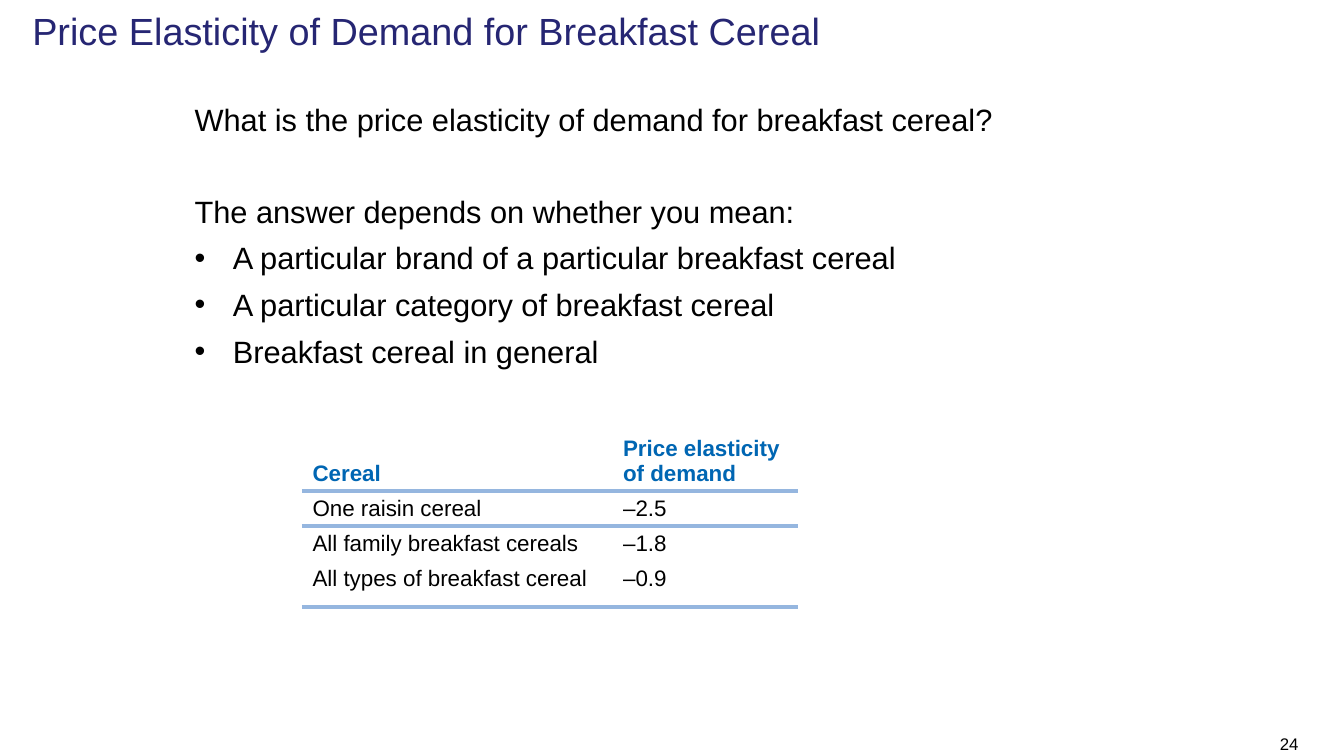
import lxml.etree
import pptx
import pptx.dml.color
import pptx.enum.shapes
import pptx.enum.text
import pptx.oxml.ns
import pptx.util

Inches = pptx.util.Inches
Pt = pptx.util.Pt
qn = pptx.oxml.ns.qn
ALIGN = pptx.enum.text.PP_ALIGN
ANCHOR = pptx.enum.text.MSO_ANCHOR

BLACK, WHITE = "000000", "FFFFFF"
NAVY, BLUE, RULE = "262673", "0066B3", "95B6DF"
LINES = [
    ("What is the price elasticity of demand for breakfast cereal?", 0, False),
    ("The answer depends on whether you mean:", 39, False),
    ("A particular brand of a particular breakfast cereal", 7, True),
    ("A particular category of breakfast cereal", 7, True),
    ("Breakfast cereal in general", 7, True),
]
ROWS = [
    ("Cereal", "Price elasticity of demand"),
    ("One raisin cereal", "–2.5"),
    ("All family breakfast cereals", "–1.8"),
    ("All types of breakfast cereal", "–0.9"),
]
WIDTHS = [3.08, 1.83]
HEIGHTS = [0.79, 0.35, 0.35, 0.45]
EDGES = {0: "a:lnB", 1: "a:lnT", 3: "a:lnB"}


def color(code):
    return pptx.dml.color.RGBColor.from_string(code)


def assign(item, values):
    for name, value in values.items():
        setattr(item, name, value)


def place(shape, left, top, width, height):
    assign(shape, {
        "left": Inches(left), "top": Inches(top),
        "width": Inches(width), "height": Inches(height),
    })


def write(para, text, size, code, bold=False):
    run = para.add_run()
    run.text = text
    assign(run.font, {"name": "Arial", "size": Pt(size), "bold": bold})
    run.font.color.rgb = color(code)


def frame_text(shape, anchor, top=0.05, right=0.1):
    frame = shape.text_frame
    assign(frame, {
        "word_wrap": True, "auto_size": pptx.enum.text.MSO_AUTO_SIZE.NONE,
        "vertical_anchor": anchor, "margin_top": Inches(top),
        "margin_right": Inches(right),
    })
    return frame


def set_bullet(para, shown):
    props = para._p.get_or_add_pPr()
    indent = Inches(0.38) if shown else 0
    props.set("marL", str(indent))
    props.set("indent", str(-indent))
    if shown:
        lxml.etree.SubElement(props, qn("a:buChar")).set("char", "•")
    else:
        lxml.etree.SubElement(props, qn("a:buNone"))


def add_title(slide):
    title = slide.shapes.title
    place(title, 0.22, 0, 13.11, 0.7)
    para = frame_text(title, ANCHOR.TOP, 0.08).paragraphs[0]
    para.alignment = ALIGN.LEFT
    write(para, "Price Elasticity of Demand for Breakfast Cereal", 27, NAVY)


def add_body(slide):
    body = slide.placeholders[1]
    place(body, 1.83, 0.92, 9.67, 2.75)
    frame = frame_text(body, ANCHOR.TOP, 0.08)
    for index, (text, space, shown) in enumerate(LINES):
        para = frame.add_paragraph() if index else frame.paragraphs[0]
        set_bullet(para, shown)
        para.space_before = Pt(space)
        write(para, text, 22, BLACK)


def draw_edge(cell, tag):
    line = lxml.etree.Element(qn(tag), w=str(Pt(3)))
    fill = lxml.etree.SubElement(line, qn("a:solidFill"))
    lxml.etree.SubElement(fill, qn("a:srgbClr"), val=RULE)
    cell._tc.get_or_add_tcPr().insert(0, line)


def fill_cell(cell, text, row):
    head = row == 0
    assign(cell, {
        "margin_left": Inches(0.1), "margin_right": Inches(0.1),
        "margin_top": Inches(0.05),
        "margin_bottom": Inches(0.15 if row == len(ROWS) - 1 else 0.05),
        "vertical_anchor": ANCHOR.BOTTOM if head else ANCHOR.MIDDLE,
    })
    cell.fill.background()
    if row in EDGES:
        draw_edge(cell, EDGES[row])
    write(cell.text_frame.paragraphs[0], text, 16, BLUE if head else BLACK, head)


def add_grid(slide):
    table = slide.shapes.add_table(
        len(ROWS), len(WIDTHS), Inches(3), Inches(4.08),
        Inches(sum(WIDTHS)), Inches(sum(HEIGHTS))).table
    table.horz_banding = False
    for column, width in zip(table.columns, WIDTHS):
        column.width = Inches(width)
    for row, (texts, height) in enumerate(zip(ROWS, HEIGHTS)):
        table.rows[row].height = Inches(height)
        for col, text in enumerate(texts):
            fill_cell(table.cell(row, col), text, row)


def add_number(slide):
    box = slide.shapes.add_shape(
        pptx.enum.shapes.MSO_SHAPE.RECTANGLE,
        Inches(12.23), Inches(7.25), Inches(1.1), Inches(0.25))
    box.shadow.inherit = False
    box.fill.solid()
    box.fill.fore_color.rgb = color(WHITE)
    box.line.fill.background()
    para = frame_text(box, ANCHOR.MIDDLE, right=0.45).paragraphs[0]
    para.alignment = ALIGN.RIGHT
    write(para, "24", 12, BLACK)


def main():
    deck = pptx.Presentation()
    assign(deck, {"slide_width": Inches(13.33), "slide_height": Inches(7.5)})
    slide = deck.slides.add_slide(deck.slide_layouts[1])
    add_number(slide)
    add_title(slide)
    add_body(slide)
    add_grid(slide)
    deck.save("out.pptx")


if __name__ == "__main__":
    main()
